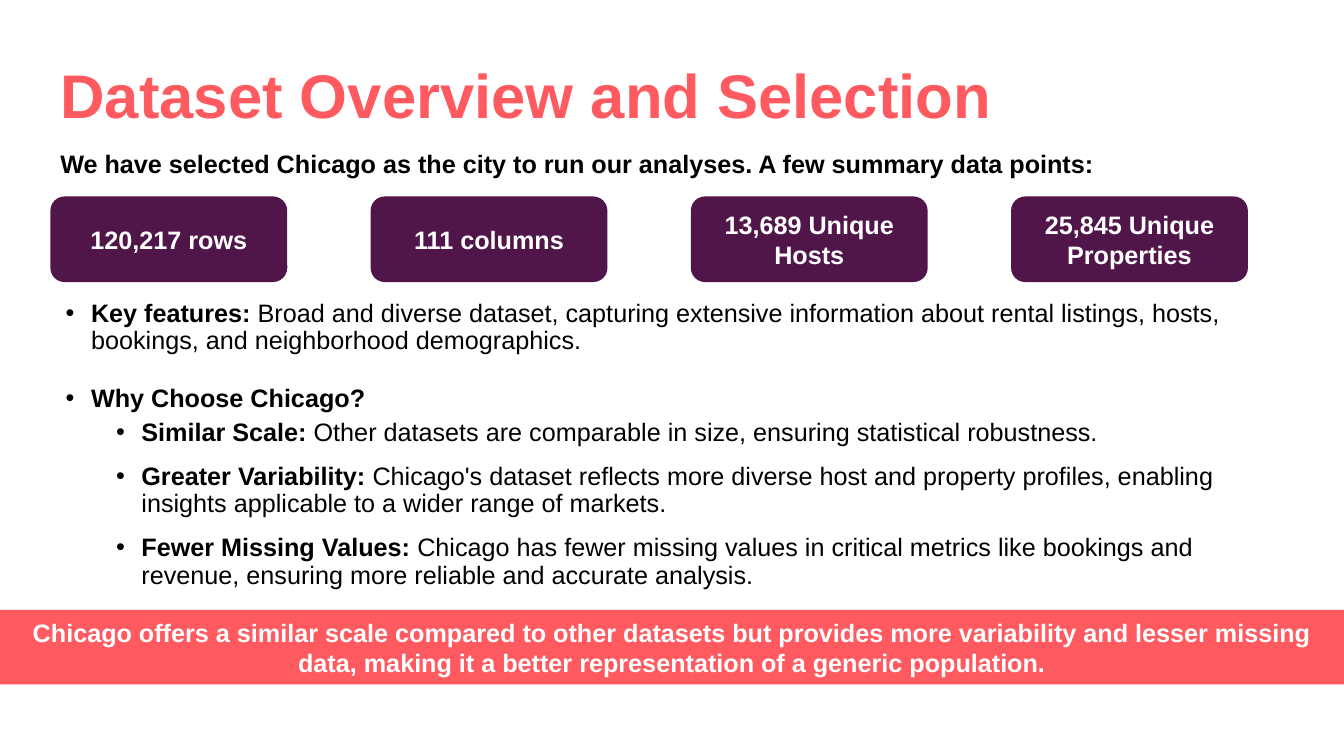
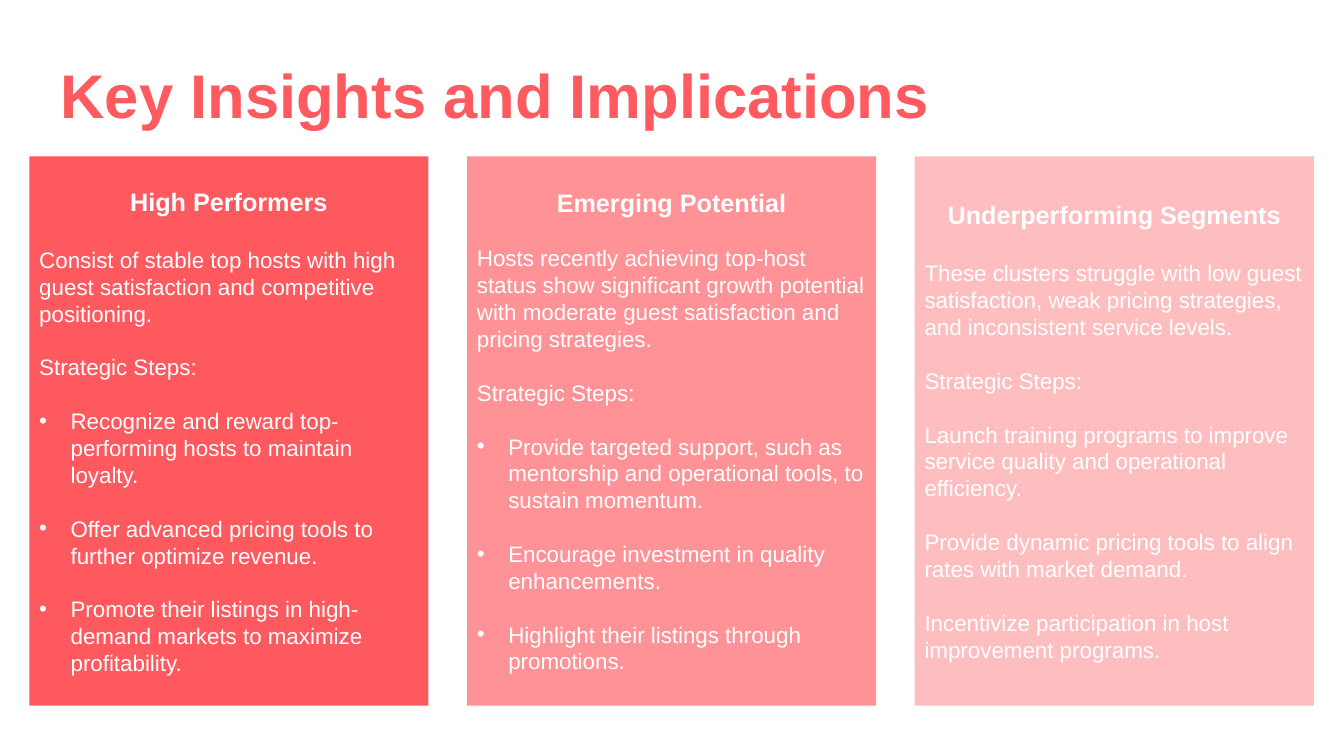
from pptx import Presentation
from pptx import util as u
from pptx.dml.color import RGBColor
from pptx.enum import shapes, text
from pptx.oxml import ns
from lxml import etree

CORAL = RGBColor(0xFF, 0x5A, 0x5F)
PANEL_CORAL = RGBColor(0xFE, 0x59, 0x5E)
PLUM = RGBColor(0x50, 0x16, 0x49)
WHITE = RGBColor(0xFF, 0xFF, 0xFF)
BLACK = RGBColor(0, 0, 0)

FONT = "Arial"
SLIDE_W, SLIDE_H = 33.87, 19.05
TITLE_SIZE, LEAD_SIZE, PANEL_SIZE = 44, 18, 16
TITLE_AND_BODY, TITLE_ONLY = 1, 5
LEFT, CENTER = text.PP_ALIGN.LEFT, text.PP_ALIGN.CENTER


class Deck:
    """Holds the shared style and the slide being built."""

    def __init__(self):
        self.prs = Presentation()
        self.prs.slide_width = u.Cm(SLIDE_W)
        self.prs.slide_height = u.Cm(SLIDE_H)
        self.slide = None

    def new_slide(self, layout, heading):
        self.slide = self.prs.slides.add_slide(self.prs.slide_layouts[layout])
        title = self.slide.shapes.title
        frame = self.place(title, 1.27, 1.02, 31.29, 2.92)
        frame.vertical_anchor = text.MSO_ANCHOR.MIDDLE
        self.para(frame, [(heading, True)], TITLE_SIZE, CORAL, spacing=0.9)

    def place(self, holder, left, top, width, height):
        """Move a placeholder and return its text frame."""
        holder.left, holder.top = u.Cm(left), u.Cm(top)
        holder.width, holder.height = u.Cm(width), u.Cm(height)
        frame = holder.text_frame
        frame.auto_size = text.MSO_AUTO_SIZE.NONE
        frame.word_wrap = True
        return frame

    def body(self, left, top, width, height):
        frame = self.place(self.slide.placeholders[1], left, top, width, height)
        frame.vertical_anchor = text.MSO_ANCHOR.TOP
        return frame

    def para(self, frame, runs, size, color, align=LEFT, before=0,
             spacing=1.0, bullet=None, level=0):
        """Add a paragraph; bullet is (text indent, hanging width) in cm."""
        first = not frame.text
        para = frame.paragraphs[0] if first else frame.add_paragraph()
        if bullet:
            indent, hang = bullet
            props = para._p.get_or_add_pPr()
            props.set("marL", str(u.Cm(indent)))
            props.set("indent", str(-u.Cm(hang)))
            etree.SubElement(props, ns.qn("a:buFont"), typeface=FONT)
            etree.SubElement(props, ns.qn("a:buChar"), char="•")
        para.level = level
        para.alignment = align
        para.line_spacing = spacing
        para.space_before = u.Pt(0 if first else before)
        para.space_after = u.Pt(0)
        for words, bold in runs:
            run = para.add_run()
            run.text = words
            run.font.name, run.font.size = FONT, u.Pt(size)
            run.font.bold = bold
            run.font.color.rgb = color

    def text_box(self, left, top, width, height, words):
        box = self.slide.shapes.add_textbox(
            u.Cm(left), u.Cm(top), u.Cm(width), u.Cm(height))
        box.text_frame.word_wrap = True
        self.para(box.text_frame, [(words, True)], LEAD_SIZE, BLACK)

    def block(self, left, top, width, height, color, heading,
              kind=shapes.MSO_SHAPE.RECTANGLE, opacity=100):
        """Filled shape with a bold centred heading; returns its text frame."""
        block = self.slide.shapes.add_shape(
            kind, u.Cm(left), u.Cm(top), u.Cm(width), u.Cm(height))
        block.shadow.inherit = False
        block.line.fill.background()
        block.fill.solid()
        block.fill.fore_color.rgb = color
        if opacity < 100:
            tint = block.element.spPr.find(".//" + ns.qn("a:srgbClr"))
            etree.SubElement(tint, ns.qn("a:alpha"), val=str(opacity * 1000))
        frame = block.text_frame
        frame.word_wrap = True
        frame.vertical_anchor = text.MSO_ANCHOR.MIDDLE
        self.para(frame, [(heading, True)], LEAD_SIZE, WHITE, CENTER)
        return frame


# Slide 1 content
DATA_POINTS = ["120,217 rows", "111 columns", "13,689 Unique Hosts",
               "25,845 Unique Properties"]

# label, explanation, level, space before
REASONS = [
    ("Key features: ", "Broad and diverse dataset, capturing extensive "
     "information about rental listings, hosts, bookings, and neighborhood "
     "demographics.", 0, 0),
    ("Why Choose Chicago?", "", 0, 22),
    ("Similar Scale: ", "Other datasets are comparable in size, ensuring "
     "statistical robustness.", 1, 5),
    ("Greater Variability: ", "Chicago's dataset reflects more diverse host "
     "and property profiles, enabling insights applicable to a wider range "
     "of markets.", 1, 12),
    ("Fewer Missing Values: ", "Chicago has fewer missing values in critical "
     "metrics like bookings and revenue, ensuring more reliable and accurate "
     "analysis.", 1, 12),
]

# Slide 2 content: heading, width, opacity, gap under heading, bulleted,
# summary, steps
SEGMENTS = [
    ("High Performers", 10.06, 100, 21.4, True,
     "Consist of stable top hosts with high guest satisfaction and "
     "competitive positioning.",
     ["Recognize and reward top-performing hosts to maintain loyalty.",
      "Offer advanced pricing tools to further optimize revenue.",
      "Promote their listings in high-demand markets to maximize "
      "profitability."]),
    ("Emerging Potential", 10.31, 65, 19.2, True,
     "Hosts recently achieving top-host status show significant growth "
     "potential with moderate guest satisfaction and pricing strategies.",
     ["Provide targeted support, such as mentorship and operational tools, "
      "to sustain momentum.",
      "Encourage investment in quality enhancements.",
      "Highlight their listings through promotions."]),
    ("Underperforming Segments", 10.06, 39, 21.4, False,
     "These clusters struggle with low guest satisfaction, weak pricing "
     "strategies, and inconsistent service levels.",
     ["Launch training programs to improve service quality and operational "
      "efficiency.",
      "Provide dynamic pricing tools to align rates with market demand.",
      "Incentivize participation in host improvement programs."]),
]


def dataset_slide(deck):
    deck.new_slide(TITLE_AND_BODY, "Dataset Overview and Selection")
    deck.text_box(1.27, 3.61, 28.19, 1.02,
                  "We have selected Chicago as the city to run our analyses. "
                  "A few summary data points:")

    # Row of data points
    first_left, pitch = 1.27, 8.07
    for column, data_point in enumerate(DATA_POINTS):
        deck.block(first_left + column * pitch, 4.95, 5.97, 2.16, PLUM,
                   data_point, shapes.MSO_SHAPE.ROUNDED_RECTANGLE)

    # Reasons for the choice
    reasons = deck.body(1.4, 7.44, 31.04, 6.3)
    for label, explanation, level, before in REASONS:
        runs = [(label, True)]
        if explanation:
            runs.append((explanation, False))
        deck.para(reasons, runs, LEAD_SIZE, BLACK, before=before, spacing=0.9,
                  bullet=(0.64 + 1.27 * level, 0.64), level=level)

    # Conclusion band
    deck.block(0, 15.37, SLIDE_W, 1.88, CORAL,
               "Chicago offers a similar scale compared to other datasets but "
               "provides more variability and lesser missing data, making it "
               "a better representation of a generic population.")


def insights_slide(deck):
    deck.new_slide(TITLE_ONLY, "Key Insights and Implications")

    # One panel per host segment
    left, panel_gap, line_gap = 0.74, 0.97, 19.2
    for heading, width, opacity, heading_gap, bulleted, summary, steps in SEGMENTS:
        panel = deck.block(left, 3.94, width, 13.84, PANEL_CORAL, heading,
                           opacity=opacity)
        deck.para(panel, [(summary, False)], PANEL_SIZE, WHITE,
                  before=heading_gap)
        deck.para(panel, [("Strategic Steps:", False)], PANEL_SIZE, WHITE,
                  before=line_gap)
        for step in steps:
            deck.para(panel, [(step, False)], PANEL_SIZE, WHITE,
                      before=line_gap,
                      bullet=(0.79, 0.79) if bulleted else None)
        left += width + panel_gap


def main():
    deck = Deck()
    dataset_slide(deck)
    insights_slide(deck)
    deck.prs.save("out.pptx")


if __name__ == "__main__":
    main()
